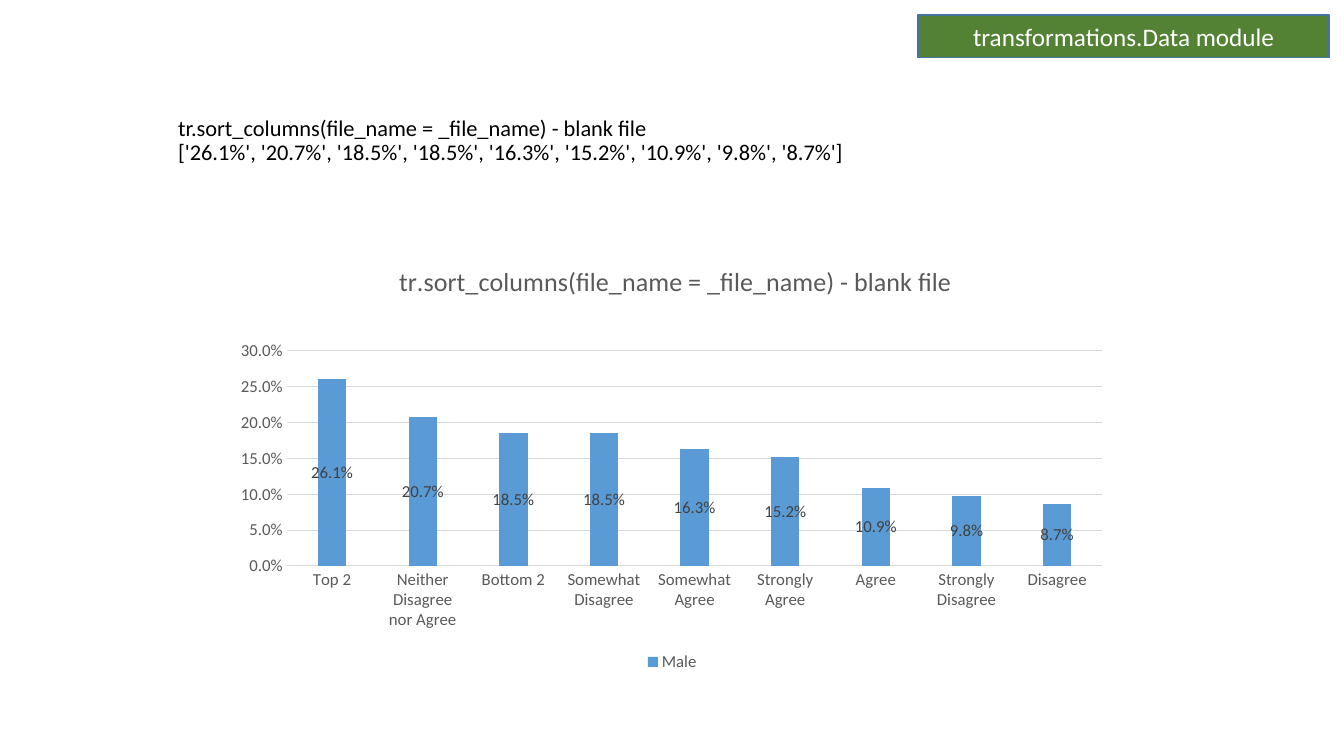
from lxml.etree import SubElement
from pptx import Presentation
from pptx.chart.data import CategoryChartData as ChartData
from pptx.dml.color import RGBColor as Rgb
from pptx.enum.chart import XL_CHART_TYPE as Kind, XL_LEGEND_POSITION as Side, XL_TICK_MARK as Tick
from pptx.enum.shapes import MSO_SHAPE as Shape
from pptx.enum.text import MSO_ANCHOR as Anchor, MSO_AUTO_SIZE as Fit, PP_ALIGN as Align
from pptx.oxml.ns import qn
from pptx.util import Inches, Pt

WIDE, HIGH = Inches(13.33), Inches(7.5)
FONT = "Calibri"
HEX = {
    "ink": "000000", "white": "FFFFFF", "green": "548235", "edge": "43739E",
    "bar": "5B9BD5", "grid": "D9D9D9", "text": "595959", "label": "404040",
}
CALL = "tr.sort_columns(file_name = _file_name) - blank file"
SHARES = {
    "Top 2": 0.261,
    "Neither Disagree nor Agree": 0.207,
    "Bottom 2": 0.185,
    "Somewhat Disagree": 0.185,
    "Somewhat Agree": 0.163,
    "Strongly Agree": 0.152,
    "Agree": 0.109,
    "Strongly Disagree": 0.098,
    "Disagree": 0.087,
}


def tint(name):
    return Rgb.from_string(HEX[name])


def area(left, top, width, height):
    return [round(part * size) for part, size in
            zip((left, top, width, height), (WIDE, HIGH, WIDE, HIGH))]


def style(font, size, name):
    font.name, font.size, font.bold = FONT, Pt(size), False
    font.color.rgb = tint(name)


def add_run(para, text, size, name):
    run = para.add_run()
    run.text = text
    style(run.font, size, name)


def stroke(line, name, width):
    line.color.rgb = tint(name)
    line.width = Pt(width)


def add_title(slide, lines, box):
    title = slide.shapes.title
    title.left, title.top, title.width, title.height = box
    frame = title.text_frame
    frame.word_wrap, frame.auto_size = True, Fit.NONE
    frame.vertical_anchor = Anchor.BOTTOM
    para = frame.paragraphs[0]
    para.alignment, para.line_spacing = Align.LEFT, 0.9
    for row, line in enumerate(lines):
        if row:
            para.add_line_break()
        add_run(para, line, 16, "ink")


def add_tag(slide, text, box):
    tag = slide.shapes.add_shape(Shape.RECTANGLE, *box)
    tag.shadow.inherit = False
    tag.fill.solid()
    tag.fill.fore_color.rgb = tint("green")
    stroke(tag.line, "edge", 1)
    frame = tag.text_frame
    frame.word_wrap, frame.vertical_anchor = True, Anchor.MIDDLE
    para = frame.paragraphs[0]
    para.alignment = Align.CENTER
    add_run(para, text, 18, "white")


def place(part, **spots):
    layout = part.get_or_add_layout() if hasattr(part, "get_or_add_layout") else part.find(qn("c:layout"))
    if layout is None:
        layout = SubElement(part, qn("c:layout"))
        part.insert(0, layout)
    for child in list(layout):
        layout.remove(child)
    manual = SubElement(layout, qn("c:manualLayout"))
    if "w" in spots:
        SubElement(manual, qn("c:layoutTarget")).set("val", "inner")
    for key in ("x", "y"):
        SubElement(manual, qn(f"c:{key}Mode")).set("val", "edge")
    for key, share in spots.items():
        SubElement(manual, qn(f"c:{key}")).set("val", str(share))


def set_axes(chart):
    cats, vals = chart.category_axis, chart.value_axis
    for axis in (cats, vals):
        axis.major_tick_mark = axis.minor_tick_mark = Tick.NONE
        style(axis.tick_labels.font, 12, "text")
    stroke(cats.format.line, "grid", 0.75)
    vals.format.line.fill.background()
    vals.has_major_gridlines = True
    stroke(vals.major_gridlines.format.line, "grid", 0.75)
    vals.minimum_scale, vals.maximum_scale, vals.major_unit = 0, 0.3, 0.05
    vals.tick_labels.number_format = "0.0%"
    vals.tick_labels.number_format_is_linked = False


def set_bars(plot):
    plot.vary_by_categories = False
    plot.gap_width, plot.overlap = 219, 100
    bars = plot.series[0]
    bars.format.fill.solid()
    bars.format.fill.fore_color.rgb = tint("bar")
    labels = bars.data_labels
    labels.show_value = True
    labels.number_format, labels.number_format_is_linked = "0.0%", False
    style(labels.font, 12, "label")


def add_bars(slide, box):
    data = ChartData(number_format="0.0%")
    data.categories = list(SHARES)
    data.add_series("Male", list(SHARES.values()))
    chart = slide.shapes.add_chart(Kind.COLUMN_STACKED, *box, data).chart
    style(chart.font, 10, "ink")
    chart.has_title = True
    title = chart.chart_title
    add_run(title.text_frame.paragraphs[0], CALL, 18.6, "text")
    title.include_in_layout = False
    place(title.format.line and title._element, x=0.19, y=0.05)
    set_axes(chart)
    set_bars(chart.plots[0])
    place(chart._chartSpace.chart.plotArea, x=0.07, y=0.26, w=0.91, h=0.49)
    chart.has_legend = True
    legend = chart.legend
    legend.position, legend.include_in_layout = Side.BOTTOM, False
    style(legend.font, 12, "text")


def main():
    deck = Presentation()
    deck.slide_width, deck.slide_height = WIDE, HIGH
    slide = deck.slides.add_slide(deck.slide_layouts[5])
    values = [f"{share:.1%}" for share in SHARES.values()]
    add_title(slide, [CALL, str(values)], area(0.125, 0.125, 0.75, 0.1))
    add_tag(slide, "transformations.Data module", area(0.683, 0.02, 0.306, 0.056))
    add_bars(slide, area(0.1667, 0.313, 0.667, 0.581))
    deck.save("out.pptx")


if __name__ == "__main__":
    main()
